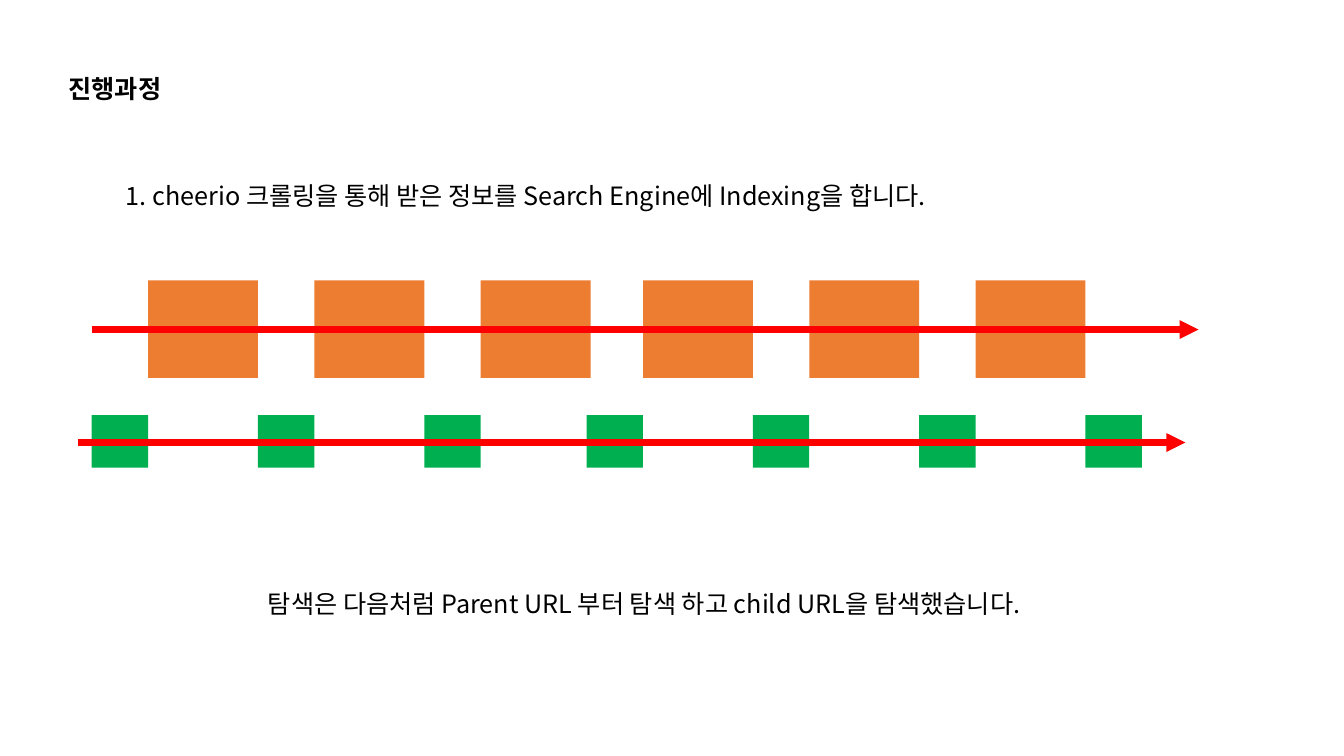
from lxml import etree
from pptx import Presentation
from pptx.dml.color import RGBColor
from pptx.enum.shapes import MSO_CONNECTOR, MSO_SHAPE
from pptx.enum.text import MSO_ANCHOR, MSO_AUTO_SIZE, PP_ALIGN
from pptx.oxml.ns import qn
from pptx.util import Pt

RECTANGLE = MSO_SHAPE.RECTANGLE
STRAIGHT = MSO_CONNECTOR.STRAIGHT
TOP, LEFT = MSO_ANCHOR.TOP, PP_ALIGN.LEFT
GROW = MSO_AUTO_SIZE.SHAPE_TO_FIT_TEXT

BLACK = RGBColor(0x00, 0x00, 0x00)
ORANGE = RGBColor(0xED, 0x7D, 0x31)
GREEN = RGBColor(0x00, 0xB0, 0x50)
RED = RGBColor(0xFF, 0x00, 0x00)
FONT = "Noto Sans CJK KR"

# Content: text, left, top, width
HEADING = ("진행과정", 41.8, 49, 87.1)
SENTENCES = [
    ("1. cheerio 크롤링을 통해 받은 정보를 Search Engine에 Indexing을 합니다.",
     82.8, 125.3, 616.3),
    ("탐색은 다음처럼 Parent URL 부터 탐색 하고 child URL을 탐색했습니다.",
     184.3, 416.9, 591.8),
]
TEXT_HEIGHT = 28.8

# Crawl order: each parent URL block starts where a child URL block ends
CHILD_SIZE = (40.3, 37.4)
PARENT_SIZE = (78.5, 69.8)
CHILD_TOP, PARENT_TOP = 296.6, 200.2
PITCH = CHILD_SIZE[0] + PARENT_SIZE[0]
RUN_STARTS = {65.5: 3, 419: 4}  # left edge of a run: number of child blocks
PARENT_COUNT = 6
ARROWS = [(65.5, 856.1, 235.4), (55.4, 846.7, 316.1)]  # from x, to x, y

FRAME_FORMAT = {"word_wrap": False, "auto_size": GROW, "vertical_anchor": TOP,
                "margin_left": Pt(7.2), "margin_right": Pt(7.2),
                "margin_top": Pt(3.6), "margin_bottom": Pt(3.6)}
FONT_FORMAT = {"name": FONT, "size": Pt(18)}


def apply(target, formats):
    for attribute, value in formats.items():
        setattr(target, attribute, value)


def write(box, text, left, top, width, bold=False):
    apply(box, {"left": Pt(left), "top": Pt(top),
                "width": Pt(width), "height": Pt(TEXT_HEIGHT)})
    frame = box.text_frame
    apply(frame, FRAME_FORMAT)
    paragraph = frame.paragraphs[0]
    apply(paragraph, {"alignment": LEFT, "line_spacing": 1.0})
    run = paragraph.add_run()
    run.text = text
    apply(run.font, {**FONT_FORMAT, "bold": bold})
    run.font.color.rgb = BLACK
    east_asian = etree.SubElement(run.font._element, qn("a:ea"))
    east_asian.set("typeface", FONT)


def add_block(left, top, size, color):
    block = slide.shapes.add_shape(RECTANGLE, Pt(left), Pt(top), *map(Pt, size))
    block.shadow.inherit = False
    block.fill.solid()
    block.fill.fore_color.rgb = color
    block.line.fill.background()


def add_arrow(start, end, y):
    arrow = slide.shapes.add_connector(STRAIGHT, Pt(start), Pt(y), Pt(end), Pt(y))
    arrow.line.color.rgb = RED
    arrow.line.width = Pt(4.5)
    etree.SubElement(arrow.line._get_or_add_ln(), qn("a:tailEnd"), type="triangle")
    etree.SubElement(arrow._element.spPr, qn("a:effectLst"))


presentation = Presentation()
presentation.slide_width, presentation.slide_height = Pt(960), Pt(540)
slide = presentation.slides.add_slide(presentation.slide_layouts[5])

# Heading and sentences
write(slide.shapes.title, *HEADING, bold=True)
for sentence in SENTENCES:
    write(slide.shapes.add_textbox(0, 0, 0, 0), *sentence)

# Parent and child URL blocks
child_lefts = [start + step * PITCH
               for start, count in RUN_STARTS.items() for step in range(count)]
for child_left in child_lefts[:PARENT_COUNT]:
    add_block(child_left + CHILD_SIZE[0], PARENT_TOP, PARENT_SIZE, ORANGE)
for child_left in child_lefts:
    add_block(child_left, CHILD_TOP, CHILD_SIZE, GREEN)

# Search direction arrows
for arrow_span in ARROWS:
    add_arrow(*arrow_span)

presentation.save("out.pptx")
